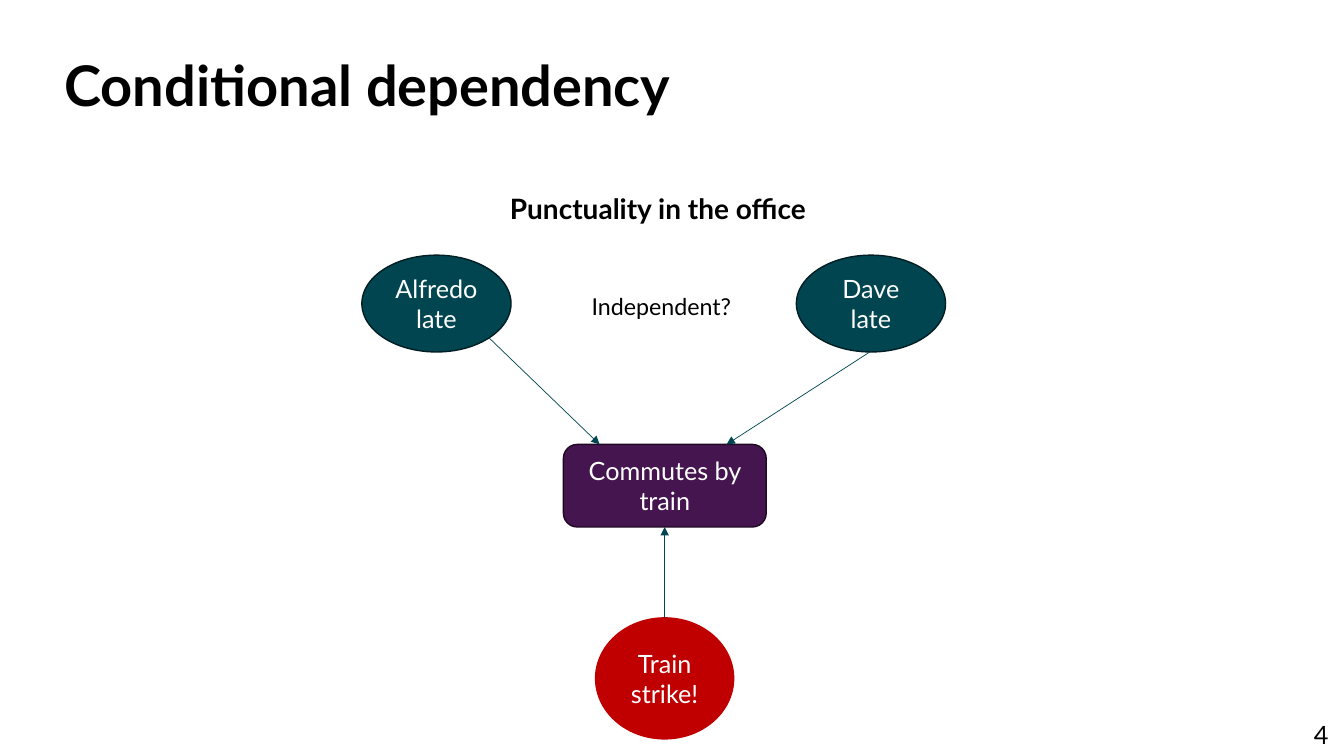
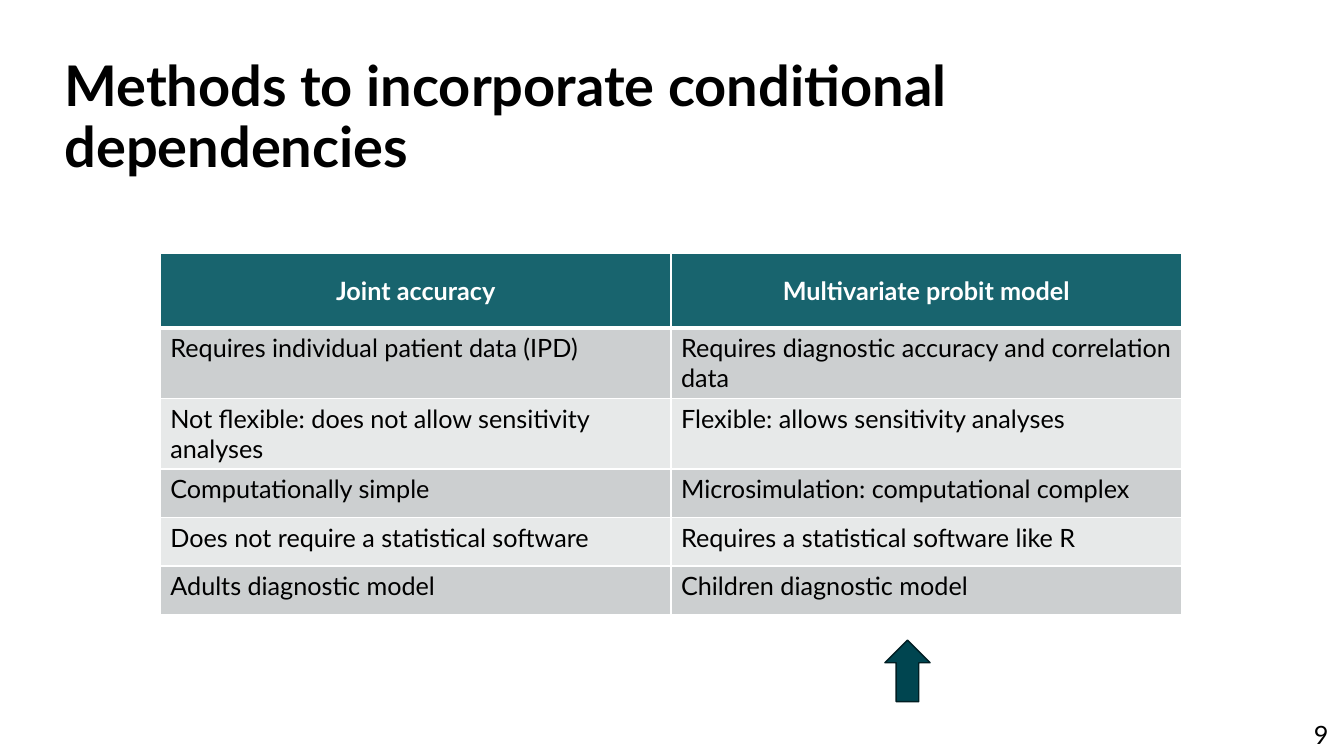
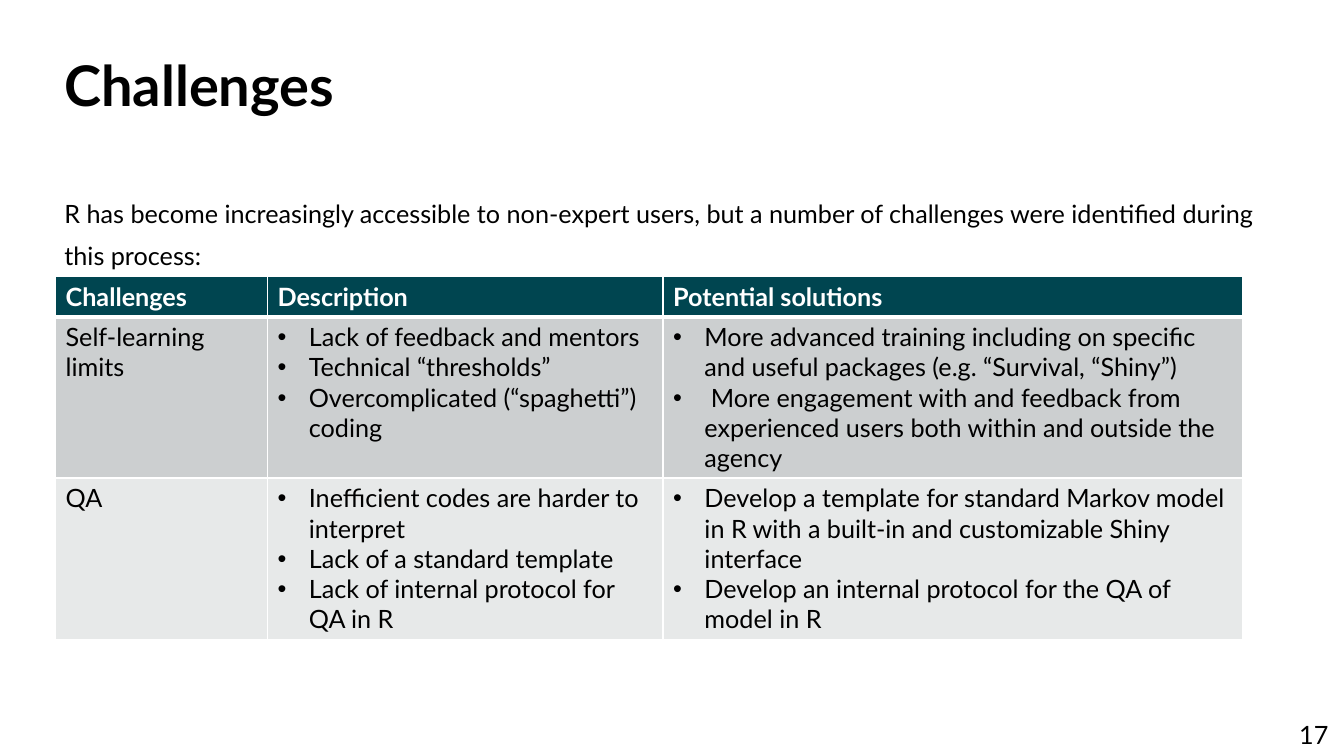
from dataclasses import dataclass
from typing import Any, Optional

from lxml import etree
from pptx import Presentation
from pptx import util as u
from pptx.dml.color import RGBColor
from pptx.enum import shapes, text
from pptx.oxml import ns

# Shared colours and formats
BLACK = RGBColor(0x00, 0x00, 0x00)
WHITE = RGBColor(0xFF, 0xFF, 0xFF)
TEAL = RGBColor(0x00, 0x45, 0x50)
DARK_TEAL = RGBColor(0x00, 0x1E, 0x23)
MID_TEAL = RGBColor(0x18, 0x64, 0x6E)
PURPLE = RGBColor(0x45, 0x15, 0x50)
DARK_PURPLE = RGBColor(0x1E, 0x09, 0x23)
RED = RGBColor(0xC0, 0x00, 0x00)
BANDS = (RGBColor(0xCC, 0xCF, 0xD0), RGBColor(0xE7, 0xE9, 0xE9))

ALIGN = text.PP_ALIGN
FRAME = {
    "word_wrap": True,
    "auto_size": text.MSO_AUTO_SIZE.NONE,
    "vertical_anchor": text.MSO_ANCHOR.TOP,
}
TITLE_PARAGRAPH = {"alignment": ALIGN.LEFT, "line_spacing": 0.9}
LABEL_PARAGRAPH = {"line_spacing": 1.5, "space_before": u.Pt(10)}
INTRO_PARAGRAPH = {"line_spacing": 1.4, "space_before": u.Pt(10)}
BULLET_INDENT = u.Cm(0.79)


@dataclass(frozen=True)
class Box:
    """A rectangle in centimetres."""
    left: float
    top: float
    width: float
    height: float

    def lengths(self) -> tuple[u.Cm, ...]:
        return tuple(u.Cm(n) for n in (self.left, self.top, self.width, self.height))


@dataclass(frozen=True)
class Node:
    kind: shapes.MSO_SHAPE
    box: Box
    fill: RGBColor
    line: RGBColor
    label: str = ""


@dataclass(frozen=True)
class Label:
    box: Box
    label: str
    size: float
    bold: bool = False


@dataclass(frozen=True)
class Arrow:
    start: tuple[float, float]
    end: tuple[float, float]


@dataclass(frozen=True)
class Grid:
    left: float
    top: float
    columns: tuple[float, ...]
    rows: tuple[float, ...]
    cells: tuple[tuple[Any, ...], ...]  # a tuple inside a cell is a bullet list
    header_fill: RGBColor
    header_align: Optional[ALIGN] = None
    header_anchor: text.MSO_ANCHOR = text.MSO_ANCHOR.TOP


TITLE_BOX = Box(1.37, 1.35, 31.04, 3.56)
INTRO_BOX = Box(1.37, 4.57, 30.84, 2.36)
NUMBER_BOX = Box(29.06, 18.01, 4.67, 1.02)


def apply(target: Any, values: dict[str, Any]) -> None:
    for name, value in values.items():
        setattr(target, name, value)


def write(paragraph: Any, words: str, size: float = 18, color: RGBColor = BLACK,
          bold: bool = False, **layout: Any) -> None:
    run = paragraph.add_run()
    run.text = words
    apply(run.font, {"name": "Lato", "size": u.Pt(size), "bold": bold})
    run.font.color.rgb = color
    apply(paragraph, layout)


def set_bullet(paragraph: Any, indent: int, mark: Optional[str] = None) -> None:
    properties = paragraph._p.get_or_add_pPr()
    properties.set("marL", str(indent))
    properties.set("indent", str(-indent))
    if mark:
        etree.SubElement(properties, ns.qn("a:buFont"), typeface="Arial")
        etree.SubElement(properties, ns.qn("a:buChar"), char=mark)
    else:
        etree.SubElement(properties, ns.qn("a:buNone"))


def place(shape: Any, box: Box) -> Any:
    """Move a placeholder and return its first paragraph."""
    apply(shape, dict(zip(("left", "top", "width", "height"), box.lengths())))
    apply(shape.text_frame, FRAME)
    return shape.text_frame.paragraphs[0]


def add_text(slide: Any, box: Box) -> Any:
    return place(slide.shapes.add_textbox(*box.lengths()), box)


def add_slide(presentation: Any, layout: str, title: str, number: int) -> Any:
    slide = presentation.slides.add_slide(presentation.slide_layouts.get_by_name(layout))
    write(place(slide.shapes.title, TITLE_BOX), title, 40, bold=True, **TITLE_PARAGRAPH)
    write(add_text(slide, NUMBER_BOX), str(number), alignment=ALIGN.RIGHT)
    return slide


def add_node(slide: Any, node: Node) -> None:
    shape = slide.shapes.add_shape(node.kind, *node.box.lengths())
    shape.shadow.inherit = False
    shape.fill.solid()
    shape.fill.fore_color.rgb = node.fill
    shape.line.color.rgb = node.line
    shape.line.width = u.Pt(1)
    if node.label:
        apply(shape.text_frame, FRAME | {"vertical_anchor": text.MSO_ANCHOR.MIDDLE})
        write(shape.text_frame.paragraphs[0], node.label, color=WHITE,
              alignment=ALIGN.CENTER)


def add_arrow(slide: Any, arrow: Arrow) -> None:
    ends = [u.Cm(n) for n in arrow.start + arrow.end]
    connector = slide.shapes.add_connector(shapes.MSO_CONNECTOR.STRAIGHT, *ends)
    connector.line.color.rgb = TEAL
    connector.line.width = u.Pt(0.5)
    line = connector.line._get_or_add_ln()
    etree.SubElement(line, ns.qn("a:tailEnd"), type="triangle")
    etree.SubElement(connector._element.spPr, ns.qn("a:effectLst"))


def set_borders(cell: Any, top: float, bottom: float) -> None:
    properties = cell._tc.get_or_add_tcPr()
    widths = {"lnL": 1, "lnR": 1, "lnT": top, "lnB": bottom}
    for index, (side, width) in enumerate(widths.items()):
        line = etree.Element(ns.qn(f"a:{side}"), w=str(u.Pt(width)))
        fill = etree.SubElement(line, ns.qn("a:solidFill"))
        etree.SubElement(fill, ns.qn("a:srgbClr"), val=str(WHITE))
        properties.insert(index, line)


def fill_cell(cell: Any, content: Any, grid: Grid, row: int) -> None:
    header = row == 0
    cell.fill.solid()
    cell.fill.fore_color.rgb = grid.header_fill if header else BANDS[(row - 1) % 2]
    set_borders(cell, top=3 if row == 1 else 1, bottom=3 if header else 1)
    frame = cell.text_frame
    if header:
        cell.vertical_anchor = grid.header_anchor
        write(frame.paragraphs[0], content, color=WHITE, bold=True,
              alignment=grid.header_align)
    elif isinstance(content, str):
        write(frame.paragraphs[0], content)
    else:
        for index, item in enumerate(content):
            paragraph = frame.add_paragraph() if index else frame.paragraphs[0]
            write(paragraph, item)
            set_bullet(paragraph, BULLET_INDENT, "•")


def add_grid(slide: Any, grid: Grid) -> None:
    box = Box(grid.left, grid.top, sum(grid.columns), sum(grid.rows))
    table = slide.shapes.add_table(len(grid.rows), len(grid.columns), *box.lengths()).table
    for column, width in zip(table.columns, grid.columns):
        column.width = u.Cm(width)
    for row, height in zip(table.rows, grid.rows):
        row.height = u.Cm(height)
    for row, contents in enumerate(grid.cells):
        for column, content in enumerate(contents):
            fill_cell(table.cell(row, column), content, grid, row)


# Dependency diagram
NODES = (
    Node(shapes.MSO_SHAPE.OVAL, Box(9.12, 6.43, 3.76, 2.44), TEAL, DARK_TEAL, "Alfredo late"),
    Node(shapes.MSO_SHAPE.OVAL, Box(20.07, 6.43, 3.76, 2.44), TEAL, DARK_TEAL, "Dave late"),
    Node(shapes.MSO_SHAPE.ROUNDED_RECTANGLE, Box(14.2, 11.2, 5.11, 2.08),
         PURPLE, DARK_PURPLE, "Commutes by train"),
    Node(shapes.MSO_SHAPE.OVAL, Box(15.01, 15.57, 3.48, 3.05), RED, RED, "Train strike!"),
)
ARROWS = (
    Arrow((12.32, 8.51), (15.11, 11.2)),
    Arrow((21.92, 8.87), (18.31, 11.2)),
    Arrow((16.75, 15.57), (16.75, 13.28)),
)
LABELS = (
    Label(Box(14.66, 6.88, 4.22, 1.85), "Independent?", 16.6),
    Label(Box(12.6, 4.27, 8.69, 1.6), "Punctuality in the office", 20, bold=True),
)

# Comparison of methods
METHODS = Grid(
    4.04, 6.38, (12.87,) * 2, (1.88,) + (1.78,) * 2 + (1.22,) * 3,
    (
        ("Joint accuracy", "Multivariate probit model"),
        ("Requires individual patient data (IPD)",
         "Requires diagnostic accuracy and correlation data"),
        ("Not flexible: does not allow sensitivity analyses",
         "Flexible: allows sensitivity analyses"),
        ("Computationally simple", "Microsimulation: computational complex"),
        ("Does not require a statistical software", "Requires a statistical software like R"),
        ("Adults diagnostic model", "Children diagnostic model"),
    ),
    MID_TEAL, ALIGN.CENTER, text.MSO_ANCHOR.MIDDLE,
)
POINTER = Node(shapes.MSO_SHAPE.UP_ARROW, Box(22.3, 16.13, 1.14, 1.55), TEAL, DARK_TEAL)

# Challenges and solutions
INTRO = ("R has become increasingly accessible to non-expert users, but a number of "
         "challenges were identified during this process:")
CHALLENGES = Grid(
    1.4, 6.96, (5.34, 9.97, 14.61), (1.02, 4.06, 4.06),
    (
        ("Challenges", "Description", "Potential solutions"),
        (
            "Self-learning limits",
            ("Lack of feedback and mentors",
             "Technical “thresholds”",
             "Overcomplicated (“spaghetti”) coding"),
            ("More advanced training including on specific and useful packages "
             "(e.g. “Survival, “Shiny”)",
             " More engagement with and feedback from experienced users both within "
             "and outside the agency"),
        ),
        (
            "QA",
            ("Inefficient codes are harder to interpret",
             "Lack of a standard template",
             "Lack of internal protocol for QA in R"),
            ("Develop a template for standard Markov model in R with a built-in and "
             "customizable Shiny interface",
             "Develop an internal protocol for the QA of model in R"),
        ),
    ),
    TEAL,
)


def main() -> None:
    presentation = Presentation()
    apply(presentation, {"slide_width": u.Cm(33.87), "slide_height": u.Cm(19.05)})

    slide = add_slide(presentation, "Title Only", "Conditional dependency", 4)
    for node in NODES:
        add_node(slide, node)
    for arrow in ARROWS:
        add_arrow(slide, arrow)
    for label in LABELS:
        write(add_text(slide, label.box), label.label, label.size, bold=label.bold,
              **LABEL_PARAGRAPH)

    slide = add_slide(presentation, "Title Only",
                      "Methods to incorporate conditional dependencies", 9)
    add_grid(slide, METHODS)
    add_node(slide, POINTER)

    slide = add_slide(presentation, "Title and Content", "Challenges", 17)
    intro = place(slide.placeholders[1], INTRO_BOX)
    write(intro, INTRO, **INTRO_PARAGRAPH)
    set_bullet(intro, 0)
    add_grid(slide, CHALLENGES)

    presentation.save("out.pptx")


if __name__ == "__main__":
    main()
